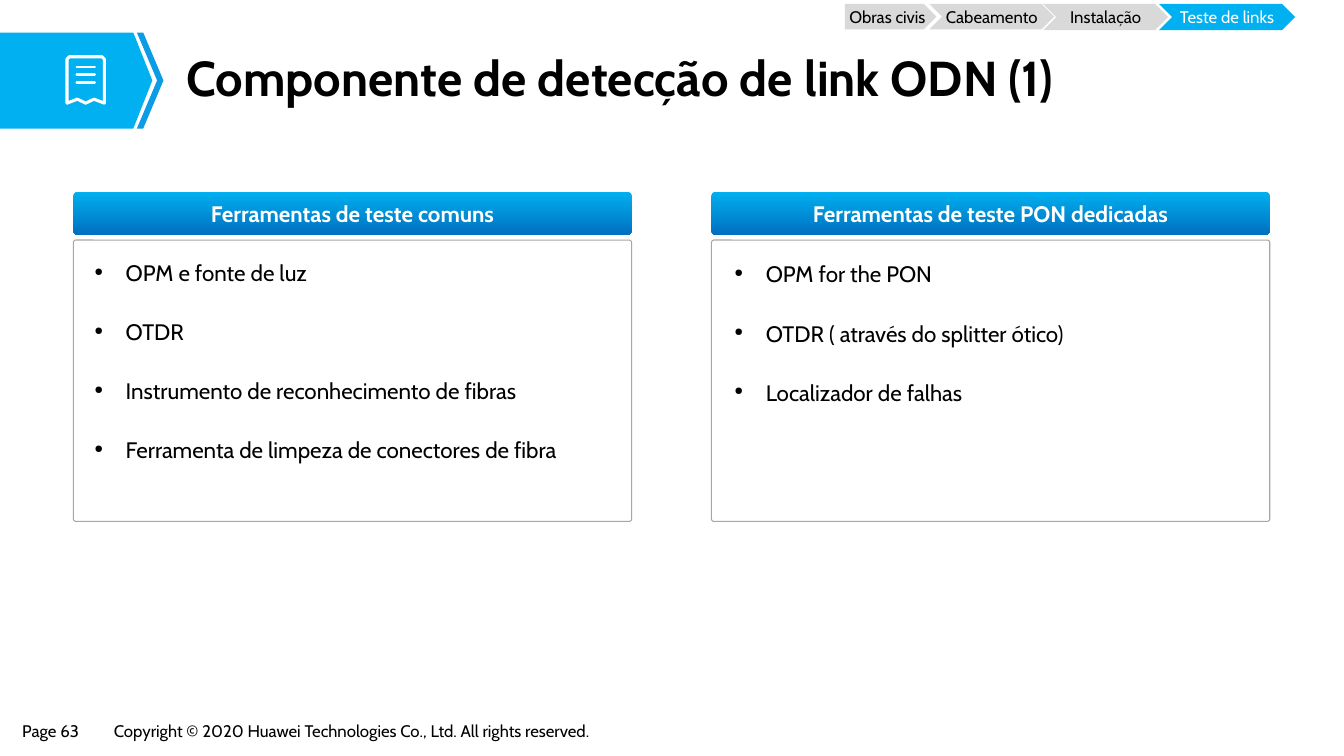
from lxml import etree
from pptx import Presentation
from pptx import util as u
from pptx.dml import color
from pptx.enum import shapes, text
from pptx.oxml import ns


def rgb(value):
    return color.RGBColor.from_string(value)


def write(sp, lines, size=12, fill="000000", bold=False, align=None, anchor="middle",
          insets=(0.25, 0.13), wrap=True, bullet=False, spacing=None):
    tf = sp.text_frame
    tf.word_wrap = wrap
    tf.vertical_anchor = text.MSO_ANCHOR.MIDDLE if anchor == "middle" else text.MSO_ANCHOR.TOP
    tf.margin_left = tf.margin_right = u.Cm(insets[0])
    tf.margin_top = tf.margin_bottom = u.Cm(insets[1])
    for i, line in enumerate(lines):
        p = tf.paragraphs[0] if i == 0 else tf.add_paragraph()
        p.alignment = align or text.PP_ALIGN.LEFT
        if spacing:
            p.line_spacing = spacing
        if bullet:
            p.space_before = u.Pt(7.4 if i else 0)
            p.space_after = u.Pt(6)
            pPr = p._p.get_or_add_pPr()
            pPr.set("marL", str(u.Cm(0.79)))
            pPr.set("indent", str(-u.Cm(0.79)))
            etree.SubElement(pPr, ns.qn("a:buSzPct")).set("val", "50000")
            etree.SubElement(pPr, ns.qn("a:buChar")).set("char", "●")
        r = p.add_run()
        r.text = line
        r.font.name = "Cabin"
        r.font.size = u.Pt(size)
        r.font.bold = bold
        r.font.color.rgb = rgb(fill)


prs = Presentation()
prs.slide_width = u.Cm(33.87)
prs.slide_height = u.Cm(19.05)
s = prs.slides.add_slide(prs.slide_layouts[5])
CENTER = text.PP_ALIGN.CENTER

title = s.shapes.title
title.left, title.top, title.width, title.height = u.Cm(4.42), u.Cm(1.14), u.Cm(27.3), u.Cm(1.78)
write(title, ["Componente de detecção de link ODN (1)"], size=35, bold=True,
      insets=(0.28, 0.15), spacing=0.9)

banner = [(0, 0.82), (3.36, 0.82), (3.84, 2.03), (3.36, 3.24), (0, 3.24)]
stripe = [(3.45, 0.82), (3.61, 0.82), (4.12, 2.03), (3.61, 3.24), (3.45, 3.24), (3.96, 2.03)]
receipt = [(1.75, 1.43), (2.57, 1.43), (2.63, 1.49), (2.63, 2.6), (2.37, 2.5), (2.16, 2.6),
           (1.95, 2.5), (1.69, 2.6), (1.69, 1.49)]
for points, fill in [(banner, "00B0F0"), (stripe, "0B9CE5"), (receipt, None)]:
    corners = [(u.Cm(x), u.Cm(y)) for x, y in points]
    builder = s.shapes.build_freeform(*corners[0])
    builder.add_line_segments(corners[1:])
    sp = builder.convert_to_shape()
    sp.shadow.inherit = False
    if fill:
        sp.fill.solid()
        sp.fill.fore_color.rgb = rgb(fill)
        sp.line.fill.background()
    else:
        sp.fill.background()
        sp.line.color.rgb = rgb("FFFFFF")
        sp.line.width = u.Pt(2.2)

for i in range(3):
    y = u.Cm(1.68 + 0.2 * i)
    rule = s.shapes.add_connector(shapes.MSO_CONNECTOR.STRAIGHT, u.Cm(1.93), y, u.Cm(2.39), y)
    rule.line.color.rgb = rgb("FFFFFF")
    rule.line.width = u.Pt(1.6)
    rule.line._get_or_add_ln().set("cap", "rnd")
    etree.SubElement(rule._element.spPr, ns.qn("a:effectLst"))

panels = [
    (1.85, 2.13, 6.07, "Ferramentas de teste comuns",
     ["OPM e fonte de luz", "OTDR", "Instrumento de reconhecimento de fibras",
      "Ferramenta de limpeza de conectores de fibra"]),
    (17.93, 18.26, 6.1, "Ferramentas de teste PON dedicadas",
     ["OPM for the PON", "OTDR ( através do splitter ótico)", "Localizador de falhas"]),
]
for x, list_x, list_y, heading, items in panels:
    header = s.shapes.add_shape(shapes.MSO_SHAPE.ROUNDED_RECTANGLE,
                                u.Cm(x), u.Cm(4.83), u.Cm(14.07), u.Cm(1.09))
    header.adjustments[0] = 0.106
    header.shadow.inherit = False
    header.line.fill.background()
    header.fill.gradient()
    header.fill.gradient_angle = 270
    for stop, value in zip(header.fill.gradient_stops, ["00B0F0", "0070C0"]):
        stop.color.rgb = rgb(value)
    write(header, [heading], size=16, fill="FFFFFF", bold=True, align=CENTER)

    frame = s.shapes.add_shape(shapes.MSO_SHAPE.ROUNDED_RECTANGLE,
                               u.Cm(x), u.Cm(6.05), u.Cm(14.07), u.Cm(7.09))
    frame.adjustments[0] = 0.009
    frame.shadow.inherit = False
    frame.fill.background()
    frame.line.color.rgb = rgb("A6A6A6")
    frame.line.width = u.Pt(0.75)

    box = s.shapes.add_textbox(u.Cm(list_x), u.Cm(list_y), u.Cm(13.77), u.Cm(1.55 * len(items)))
    write(box, items, size=16, anchor="top", bullet=True, spacing=1.5)

steps = [
    ("Cabeamento", "CHEVRON", 23.42, 3.15, 0.64, "D9D9D9", "000000", 0),
    ("Instalação", "CHEVRON", 26.29, 3.15, 0.66, "D9D9D9", "000000", 0),
    ("Teste de links", "CHEVRON", 29.21, 3.43, 0.66, "00B0F0", "FFFFFF", 0.1),
    ("Obras civis", "PENTAGON", 21.29, 2.31, 0.64, "D9D9D9", "000000", 0),
]
for label, kind, x, width, height, fill, ink, inset in steps:
    sp = s.shapes.add_shape(shapes.MSO_SHAPE[kind], u.Cm(x), u.Cm(0.1), u.Cm(width), u.Cm(height))
    sp.shadow.inherit = False
    sp.fill.solid()
    sp.fill.fore_color.rgb = rgb(fill)
    sp.line.fill.background()
    write(sp, [label], fill=ink, align=CENTER, insets=(inset, 0))

footers = [
    (0.33, 2.06, "Page 63"),
    (2.64, 13.74, "Copyright © 2020 Huawei Technologies Co., Ltd. All rights reserved."),
]
for x, width, label in footers:
    box = s.shapes.add_textbox(u.Cm(x), u.Cm(18.06), u.Cm(width), u.Cm(0.74))
    write(box, [label], anchor="top", insets=(0.23, 0.1), wrap=False)

prs.save("out.pptx")
